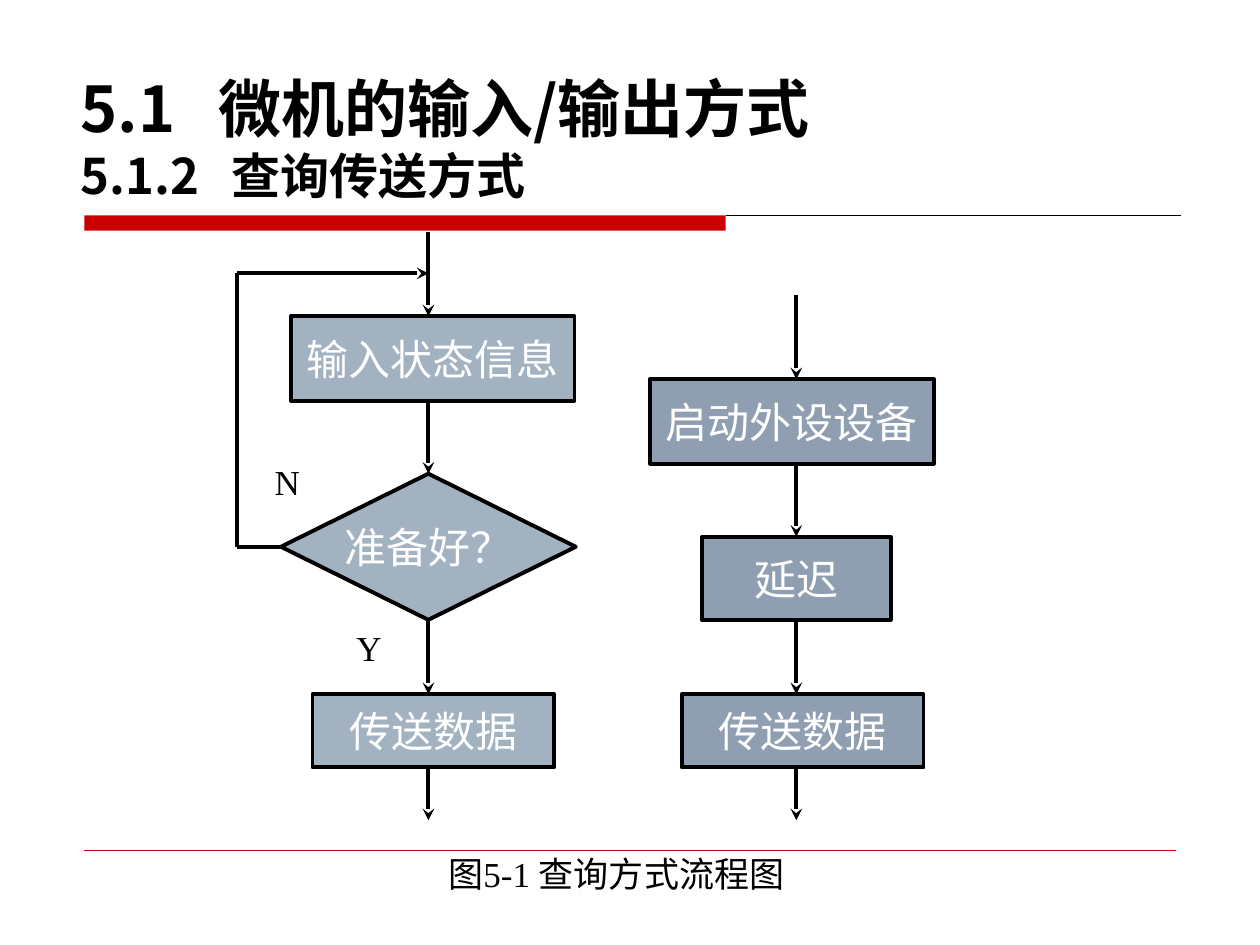
from dataclasses import dataclass
from lxml.etree import SubElement as Sub
from pptx import Presentation
from pptx.dml.color import RGBColor as Rgb
from pptx.enum.shapes import MSO_CONNECTOR as Conn, MSO_SHAPE as Kind
from pptx.enum.text import MSO_ANCHOR as Anchor, MSO_AUTO_SIZE as Fit, PP_ALIGN as Align
from pptx.oxml.ns import qn
from pptx.util import Inches, Pt


@dataclass(frozen=True)
class Theme:
    ink: str = "000000"
    pale: str = "FFFFFF"
    red: str = "CC0000"
    left: str = "A3B2C1"
    right: str = "8F9FB1"
    serif: str = "Times New Roman"
    sans: str = "Noto Sans CJK SC"
    title: int = 36
    sub: int = 28
    node: int = 24
    note: int = 20


look = Theme()


def write(para, text, size=look.note, color=look.ink, face=look.serif,
          bold=False, align=Align.LEFT, tab=None):
    para.alignment = align
    if tab:
        tabs = Sub(para._p.get_or_add_pPr(), qn("a:tabLst"))
        Sub(tabs, qn("a:tab"), pos=str(Inches(tab)), algn="l")
    run = para.add_run()
    run.text = text
    font = run.font
    font.size, font.bold, font.name = Pt(size), bold, face
    font.color.rgb = Rgb.from_string(color)
    Sub(font._element, qn("a:ea"), typeface=look.sans)


def link(x1, y1, x2, y2, head=True, width=2.25, color=look.ink, start=None, end=None):
    line = slide.shapes.add_connector(
        Conn.STRAIGHT, Inches(x1), Inches(y1), Inches(x2), Inches(y2))
    line.line.width = Pt(width)
    line.line.color.rgb = Rgb.from_string(color)
    if head:
        Sub(line.line._get_or_add_ln(), qn("a:tailEnd"), type="stealth")
    Sub(line._element.spPr, qn("a:effectLst"))
    if start:
        line.begin_connect(*start)
    if end:
        line.end_connect(*end)


deck = Presentation()
deck.slide_width, deck.slide_height = Inches(10), Inches(7.5)
slide = deck.slides.add_slide(deck.slide_layouts[5])

title = slide.shapes.title
title.left, title.top = Inches(0.54), Inches(0.34)
title.width, title.height = Inches(8.75), Inches(1.33)
frame = title.text_frame
frame.auto_size, frame.word_wrap = Fit.NONE, True
frame.vertical_anchor = Anchor.BOTTOM
write(frame.paragraphs[0], "5.1\t微机的输入/输出方式", size=look.title,
      face=look.sans, bold=True, tab=1.09)
write(frame.add_paragraph(), "5.1.2\t查询传送方式", size=look.sub,
      face=look.sans, bold=True, tab=1.2)

bar = slide.shapes.add_shape(
    Kind.RECTANGLE, Inches(0.67), Inches(1.71), Inches(5.09), Inches(0.12))
bar.shadow.inherit = False
bar.fill.solid()
bar.fill.fore_color.rgb = Rgb.from_string(look.red)
bar.line.fill.background()
link(5.76, 1.71, 9.37, 1.71, head=False, width=0.75)
link(0.67, 6.75, 9.33, 6.75, head=False, width=0.25, color=look.red)

nodes = {}
for name, text, kind, fill, x, y, w, h in [
    ("state", "输入状态信息", Kind.RECTANGLE, look.left, 2.31, 2.51, 2.25, 0.67),
    ("ready", "准备好？", Kind.DIAMOND, look.left, 2.23, 3.76, 2.34, 1.16),
    ("send", "传送数据", Kind.RECTANGLE, look.left, 2.48, 5.51, 1.92, 0.58),
    ("begin", "启动外设设备", Kind.RECTANGLE, look.right, 5.16, 3.01, 2.25, 0.67),
    ("delay", "延迟", Kind.RECTANGLE, look.right, 5.57, 4.26, 1.5, 0.66),
    ("move", "传送数据", Kind.RECTANGLE, look.right, 5.41, 5.51, 1.92, 0.58),
]:
    node = slide.shapes.add_shape(kind, Inches(x), Inches(y), Inches(w), Inches(h))
    node.shadow.inherit = False
    node.fill.solid()
    node.fill.fore_color.rgb = Rgb.from_string(fill)
    node.line.color.rgb = Rgb.from_string(look.ink)
    node.line.width = Pt(2.25)
    node.text_frame.word_wrap = False
    node.text_frame.vertical_anchor = Anchor.MIDDLE
    write(node.text_frame.paragraphs[0], text, size=look.node, color=look.pale,
          align=Align.CENTER)
    nodes[name] = node

ready, delay = nodes["ready"], nodes["delay"]
for x, y1, y2, start, end in [
    (3.4, 1.84, 2.51, None, None),
    (3.4, 3.18, 3.76, None, (ready, 0)),
    (3.4, 4.92, 5.51, (ready, 2), None),
    (3.4, 6.09, 6.51, None, None),
    (6.32, 2.34, 3.01, None, None),
    (6.32, 3.68, 4.26, None, (delay, 0)),
    (6.32, 4.92, 5.51, (delay, 2), None),
    (6.32, 6.09, 6.51, None, None),
]:
    link(x, y1, x, y2, start=start, end=end)

link(1.88, 4.34, 2.23, 4.34, head=False, end=(ready, 1))
link(1.88, 4.34, 1.88, 2.17, head=False)
link(1.88, 2.17, 3.4, 2.17)

for text, x, y, w, h, align, wrap, anchor in [
    ("Y", 2.73, 4.92, 0.4, 0.43, Align.CENTER, False, Anchor.MIDDLE),
    ("N", 2.08, 3.61, 0.4, 0.43, Align.CENTER, False, Anchor.MIDDLE),
    ("图5-1 查询方式流程图", 3.46, 6.72, 2.9, 0.44, Align.LEFT, True, Anchor.TOP),
]:
    box = slide.shapes.add_textbox(Inches(x), Inches(y), Inches(w), Inches(h))
    box.text_frame.word_wrap = wrap
    box.text_frame.vertical_anchor = anchor
    write(box.text_frame.paragraphs[0], text, align=align)

deck.save("out.pptx")
